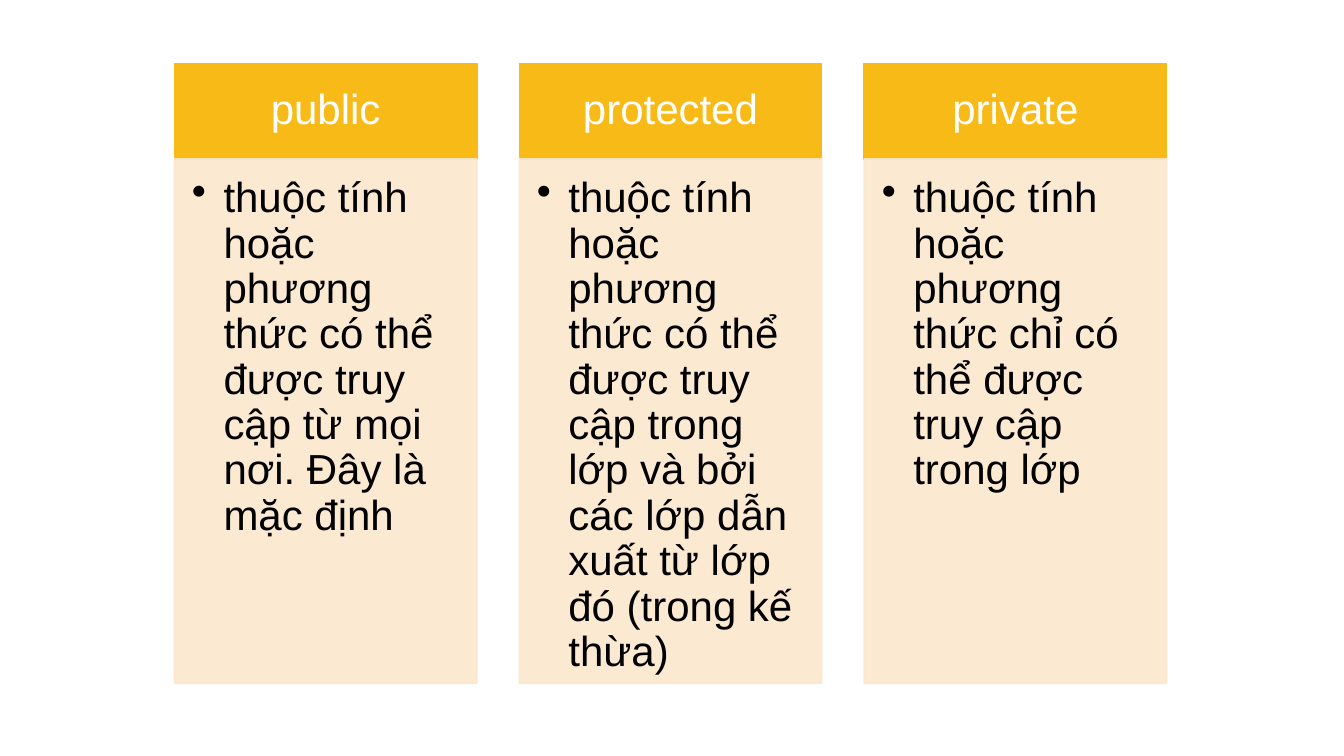
from lxml import etree
from pptx import Presentation
from pptx.dml.color import RGBColor
from pptx.enum.shapes import MSO_SHAPE
from pptx.enum.text import MSO_ANCHOR, PP_ALIGN
from pptx.oxml.ns import qn
from pptx.util import Pt

RECTANGLE = MSO_SHAPE.RECTANGLE
TOP, MIDDLE = MSO_ANCHOR.TOP, MSO_ANCHOR.MIDDLE
LEFT, CENTER = PP_ALIGN.LEFT, PP_ALIGN.CENTER

GOLD, CREAM, WHITE, BLACK = "F8BA16", "FCE7CC", "FFFFFF", "000000"
FONT = "Arial"
COLUMNS_BOX = (124.56, 45.5, 708.84, 442.5)
COLUMN_GAP = 30.24
HEADER_HEIGHT = 68
BULLET_INDENT = 22.5

ACCESS_LEVELS = [
    ("public",
     "thuộc tính hoặc phương thức có thể được truy cập từ mọi nơi. Đây là mặc định"),
    ("protected",
     "thuộc tính hoặc phương thức có thể được truy cập trong lớp và bởi các lớp "
     "dẫn xuất từ lớp đó (trong kế thừa)"),
    ("private",
     "thuộc tính hoặc phương thức chỉ có thể được truy cập trong lớp"),
]


def color(hex_string):
    return RGBColor.from_string(hex_string)


def add_panel(page, box, fill, opacity=100):
    panel = page.shapes.add_shape(RECTANGLE, *(Pt(length) for length in box))
    panel.shadow.inherit = False
    panel.fill.solid()
    panel.fill.fore_color.rgb = color(fill)
    panel.line.color.rgb = color(fill)
    panel.line.width = Pt(1)
    if opacity < 100:
        for paint in panel.fill._xPr.iter(qn("a:srgbClr")):
            etree.SubElement(paint, qn("a:alpha"), val=str(opacity * 1000))
    return panel


def write_text(panel, text, text_color, insets, size=30, align=LEFT, anchor=TOP,
               bullet=False):
    """Fill the panel with one paragraph; insets run left, top, right, bottom."""
    frame = panel.text_frame
    frame.word_wrap = True
    frame.vertical_anchor = anchor
    (frame.margin_left, frame.margin_top,
     frame.margin_right, frame.margin_bottom) = (Pt(inset) for inset in insets)
    para = frame.paragraphs[0]
    para.alignment = align
    para.line_spacing = 0.9
    span = para.add_run()
    span.text = text
    span.font.name = FONT
    span.font.size = Pt(size)
    span.font.color.rgb = color(text_color)
    if bullet:
        add_bullet(para)


def add_bullet(para):
    properties = para._p.get_or_add_pPr()
    properties.set("marL", str(Pt(BULLET_INDENT)))
    properties.set("indent", str(-Pt(BULLET_INDENT)))
    etree.SubElement(properties, qn("a:buChar"), char="•")


def add_access_column(page, box, keyword, description):
    left, top, width, height = box
    header = add_panel(page, (left, top, width, HEADER_HEIGHT), GOLD)
    write_text(header, keyword, WHITE, (16.8, 9.6, 16.8, 9.6),
               align=CENTER, anchor=MIDDLE)
    body_box = (left, top + HEADER_HEIGHT, width, height - HEADER_HEIGHT)
    body = add_panel(page, body_box, CREAM, opacity=90)
    write_text(body, description, BLACK, (12.6, 12.6, 16.8, 18.9), bullet=True)


def add_access_columns(page, box, levels):
    left, top, width, height = box
    column_width = (width - COLUMN_GAP * (len(levels) - 1)) / len(levels)
    for index, (keyword, description) in enumerate(levels):
        column_left = left + index * (column_width + COLUMN_GAP)
        add_access_column(page, (column_left, top, column_width, height),
                          keyword, description)


def main():
    deck = Presentation()
    deck.slide_width, deck.slide_height = Pt(960), Pt(540)
    page = deck.slides.add_slide(deck.slide_layouts[6])
    add_access_columns(page, COLUMNS_BOX, ACCESS_LEVELS)
    deck.save("out.pptx")


if __name__ == "__main__":
    main()
